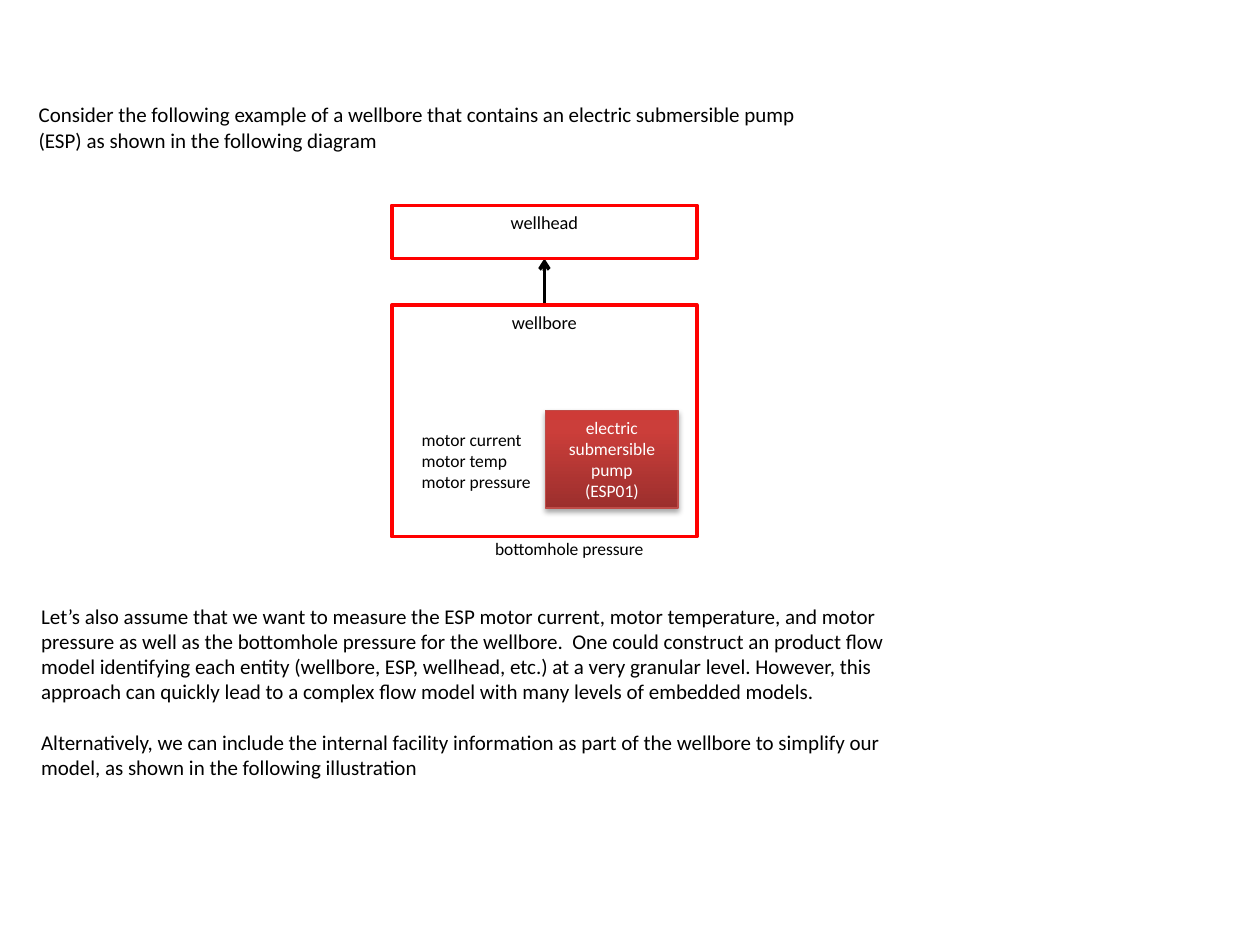
import pptx
import pptx.util
import pptx.dml.color
import pptx.enum.shapes
import pptx.enum.text
import pptx.oxml
import pptx.oxml.ns

Cm = pptx.util.Cm
Pt = pptx.util.Pt
ALIGN = pptx.enum.text.PP_ALIGN
ANCHOR = pptx.enum.text.MSO_ANCHOR
COLORS = {
    "ink": "000000", "white": "FFFFFF", "frame": "FF0000", "edge": "BF4C48",
    "dark": "9C2F2D", "mid": "CB3E3A", "light": "CE3B37",
}
FRAME_X, FRAME_W = 7.9, 6.15
MID_X = FRAME_X + FRAME_W / 2
HEAD_Y, HEAD_H = 4.14, 1.07
BORE_Y, BORE_H = 6.15, 4.67

INTRO = ("Consider the following example of a wellbore that contains an electric "
         "submersible pump (ESP) as shown in the following diagram")
NOTES = [
    "Let’s also assume that we want to measure the ESP motor current, motor "
    "temperature, and motor pressure as well as the bottomhole pressure for the "
    "wellbore.  One could construct an product flow model identifying each entity "
    "(wellbore, ESP, wellhead, etc.) at a very granular level. However, this approach "
    "can quickly lead to a complex flow model with many levels of embedded models. ",
    "Alternatively, we can include the internal facility information as part of the "
    "wellbore to simplify our model, as shown in the following illustration",
]


def rgb(name):
    return pptx.dml.color.RGBColor.from_string(COLORS[name])


def node(tag, inner=""):
    space = pptx.oxml.ns.nsdecls("a")
    return pptx.oxml.parse_xml(f"<a:{tag} {space}>{inner}</a:{tag}>")


def write(shape, lines, size=12, color="ink", align=ALIGN.LEFT,
          anchor=ANCHOR.TOP, wrap=True, gap=0):
    frame = shape.text_frame
    frame.word_wrap = wrap
    frame.vertical_anchor = anchor
    for index, line in enumerate(lines):
        para = frame.add_paragraph() if index else frame.paragraphs[0]
        para.alignment = align
        para.space_before = Pt(gap if index else 0)
        run = para.add_run()
        run.text = line
        run.font.name = "Calibri"
        run.font.size = Pt(size)
        run.font.color.rgb = rgb(color)


def label(slide, box, lines, **style):
    shape = slide.shapes.add_textbox(*map(Cm, box))
    write(shape, lines, **style)


def rect(slide, box, lines, edge="frame", width=2, **style):
    kind = pptx.enum.shapes.MSO_SHAPE.RECTANGLE
    shape = slide.shapes.add_shape(kind, *map(Cm, box))
    shape.shadow.inherit = False
    shape.fill.background()
    shape.line.color.rgb = rgb(edge)
    shape.line.width = Pt(width)
    write(shape, lines, align=ALIGN.CENTER, **style)
    return shape


def shade(shape, stops):
    shape.fill.gradient()
    shape.fill.gradient_angle = 90
    props = shape.element.spPr
    old = props.find(".//" + pptx.oxml.ns.qn("a:gsLst"))
    inner = "".join(
        f'<a:gs pos="{at * 1000}"><a:srgbClr val="{COLORS[name]}"/></a:gs>'
        for at, name in stops)
    old.getparent().replace(old, node("gsLst", inner))
    glow = props.find(pptx.oxml.ns.qn("a:effectLst"))
    shadow = ('<a:outerShdw blurRad="40000" dist="23000" dir="5400000" rotWithShape="0">'
              f'<a:srgbClr val="{COLORS["ink"]}"><a:alpha val="35000"/></a:srgbClr>'
              '</a:outerShdw>')
    props.replace(glow, node("effectLst", shadow))


def arrow(slide, start, end):
    kind = pptx.enum.shapes.MSO_CONNECTOR.STRAIGHT
    line = slide.shapes.add_connector(kind, *map(Cm, start + end))
    line.line.color.rgb = rgb("ink")
    line.line.width = Pt(2)
    tip = node("tailEnd")
    tip.set("type", "arrow")
    line.line._get_or_add_ln().append(tip)
    line.element.spPr.append(node("effectLst"))


def main():
    deck = pptx.Presentation()
    deck.slide_width, deck.slide_height = Cm(25.4), Cm(19.05)
    slide = deck.slides.add_slide(deck.slide_layouts[6])

    label(slide, (8.25, 8.53, 2.74, 1.55),
          ["motor current", "motor temp", "motor pressure"], size=10, wrap=False)
    arrow(slide, (MID_X, BORE_Y), (MID_X, HEAD_Y + HEAD_H))
    pump = rect(slide, (11, 8.28, 2.67, 1.96), ["electric submersible pump", "(ESP01)"],
                edge="edge", width=0.75, size=10, color="white", anchor=ANCHOR.MIDDLE)
    shade(pump, [(0, "dark"), (80, "mid"), (100, "light")])
    rect(slide, (FRAME_X, BORE_Y, FRAME_W, BORE_H), ["wellbore"], size=10.5)
    rect(slide, (FRAME_X, HEAD_Y, FRAME_W, HEAD_H), ["wellhead"], size=10.5)
    label(slide, (9.73, 10.72, 3.56, 0.69), ["bottomhole pressure"], size=10, wrap=False)
    label(slide, (0.53, 1.93, 15.9, 1.27), [INTRO])
    label(slide, (0.58, 12.04, 18.59, 4.37), NOTES, gap=14.6)
    deck.save("out.pptx")


main()
